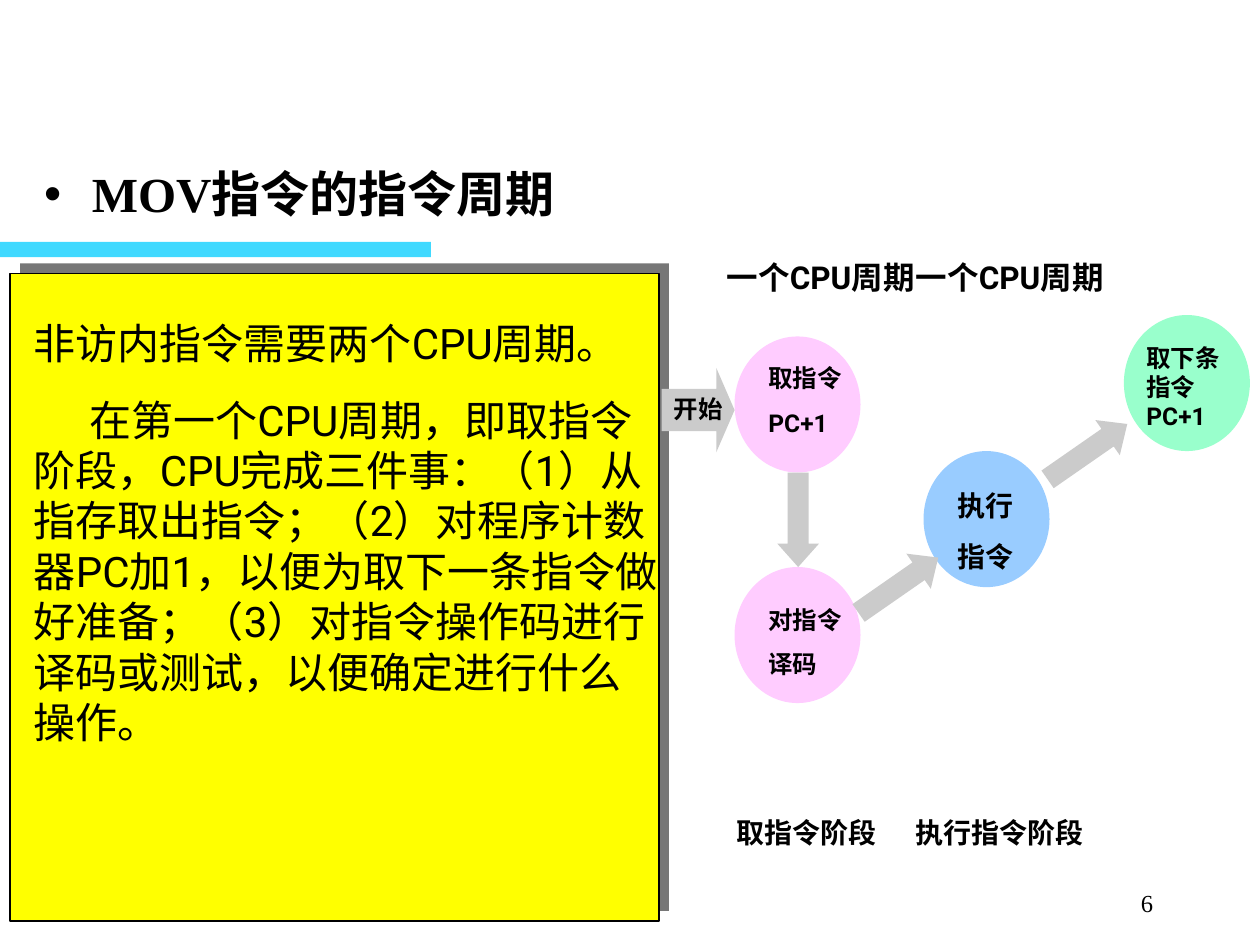
"""Build the slide on the instruction cycle of MOV."""
from pptx import Presentation
from pptx import util as u
from pptx.dml.color import RGBColor
from pptx.enum import shapes, text
from pptx.oxml import parse_xml
from pptx.oxml.ns import nsdecls

Inches, Pt = u.Inches, u.Pt
KIND = shapes.MSO_SHAPE


def add_figure(kind, place, fill, line=None):
    """Add a flat preset shape."""
    figure = page.shapes.add_shape(kind, *map(Inches, place))
    figure.shadow.inherit = False
    figure.fill.solid()
    figure.fill.fore_color.rgb = RGBColor.from_string(fill)
    if line:
        figure.line.color.rgb = RGBColor.from_string(line)
        figure.line.width = Pt(0.75)
    else:
        figure.line.fill.background()
    return figure


def write(box, lines, size, name="Roboto", bold=True, gap=0):
    """Fill a text box with one paragraph per line."""
    frame = box.text_frame
    frame.word_wrap = True
    frame.auto_size = text.MSO_AUTO_SIZE.NONE
    for index, line in enumerate(lines):
        para = frame.add_paragraph() if index else frame.paragraphs[0]
        para.space_before = Pt(gap if index else 0)
        span = para.add_run()
        span.text = line
        for key, value in {"name": name, "size": Pt(size), "bold": bold}.items():
            setattr(span.font, key, value)
        span.font.color.rgb = RGBColor.from_string("000000")
    return frame


deck = Presentation()
deck.slide_width, deck.slide_height = Inches(10), Inches(7.5)
page = deck.slides.add_slide(deck.slide_layouts[1])
title = page.shapes.title
title.element.getparent().remove(title.element)

add_figure(KIND.RECTANGLE, (0, 1.92, 3.42, 0.12), "40D9FF")

heading = page.placeholders[1]
frame_format = {"left": 0.25, "top": 1.25, "width": 4.58, "height": 0.67}
for key, value in frame_format.items():
    setattr(heading, key, Inches(value))
frame = write(heading, ["MOV指令的指令周期"], 28, "Times New Roman")
props = frame.paragraphs[0]._p.get_or_add_pPr()
props.set("marL", str(Inches(0.38)))
props.set("indent", str(Inches(-0.38)))
props.append(parse_xml(f'<a:buChar {nsdecls("a")} char="•"/>'))

add_figure(KIND.RECTANGLE, (0.16, 2.09, 5.15, 5.14), "777777")
add_figure(KIND.RECTANGLE, (0.08, 2.17, 5.15, 5.14), "FFFF00", "000000")
notes = page.shapes.add_textbox(*map(Inches, (0.17, 2.47, 5.15, 4.12)))
frame = write(notes, [
    "非访内指令需要两个CPU周期。",
    "在第一个CPU周期，即取指令阶段，CPU完成三件事：（1）从指存取出指令；"
    "（2）对程序计数器PC加1，以便为取下一条指令做好准备；"
    "（3）对指令操作码进行译码或测试，以便确定进行什么操作。",
], 24, bold=False, gap=15)
frame.paragraphs[1]._p.get_or_add_pPr().set("indent", str(Inches(0.44)))

states = [
    (5.83, 2.67, "FFCCFF"),
    (5.83, 4.5, "FFCCFF"),
    (7.33, 3.58, "99CCFF"),
    (8.92, 2.5, "99FFCC"),
]
for left, top, fill in states:
    add_figure(KIND.OVAL, (left, top, 1, 1.08), fill)

arrows = [
    (KIND.RIGHT_ARROW, (5.25, 2.92, 0.58, 0.67), 0.25, 0),
    (KIND.DOWN_ARROW, (6.17, 3.75, 0.33, 0.75), 0.56, 0),
    (KIND.UP_ARROW, (6.96, 4.26, 0.34, 0.77), 0.56, 55.2),
    (KIND.UP_ARROW, (8.46, 3.2, 0.34, 0.77), 0.56, 55.2),
]
for kind, place, head, turn in arrows:
    arrow = add_figure(kind, place, "CBCBCB")
    arrow.adjustments[0], arrow.adjustments[1] = 0.5, head
    arrow.rotation = turn

labels = [
    ((5.67, 2, 1.75, 0.7), ["一个CPU周期"], 18),
    ((7.17, 2, 1.75, 0.7), ["一个CPU周期"], 18),
    ((5.75, 6.42, 1.5, 0.37), ["取指令阶段"], 16),
    ((7.17, 6.42, 1.83, 0.37), ["执行指令阶段"], 16),
    ((5.25, 3.08, 0.92, 0.34), ["开始"], 14),
    ((6, 2.83, 0.83, 0.69), ["取指令", "PC+1"], 14),
    ((6, 4.75, 0.92, 0.69), ["对指令", "译码"], 14),
    ((7.5, 3.83, 0.75, 0.77), ["执行", "指令"], 16),
    ((9, 2.67, 0.92, 0.8), ["取下条指令PC+1"], 14),
]
for place, lines, size in labels:
    box = page.shapes.add_textbox(*map(Inches, place))
    write(box, lines, size, gap=size * 0.625)

number = page.shapes.add_textbox(*map(Inches, (7.17, 6.83, 2.08, 0.5)))
frame = write(number, ["6"], 14, "Times New Roman", bold=False)
frame.vertical_anchor = text.MSO_ANCHOR.BOTTOM
frame.paragraphs[0].alignment = text.PP_ALIGN.RIGHT

deck.save("out.pptx")
